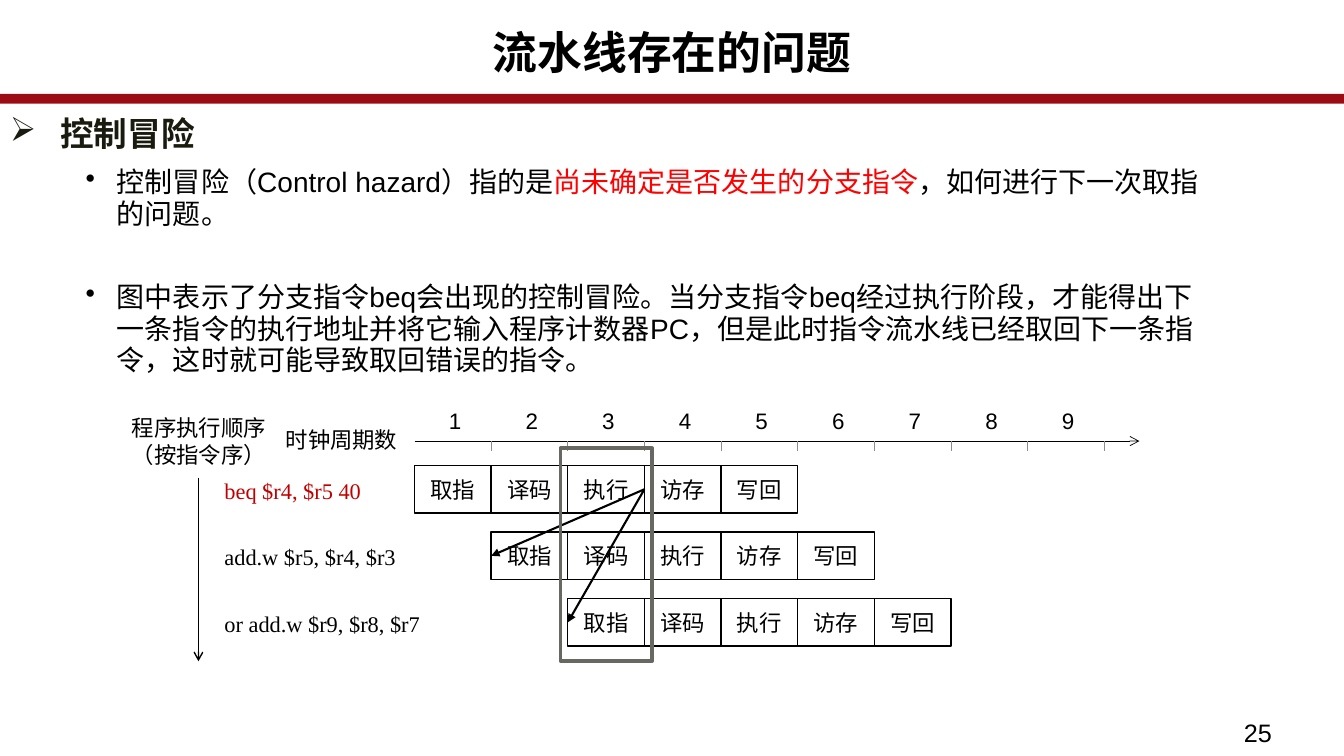
import lxml.etree
import pptx
import pptx.dml.color
import pptx.enum.shapes
import pptx.enum.text
import pptx.oxml.ns
import pptx.util

SHAPE = pptx.enum.shapes.MSO_SHAPE
ALIGN = pptx.enum.text.PP_ALIGN
ANCHOR = pptx.enum.text.MSO_ANCHOR

BLACK, RED, CRIMSON, BAR_RED = "000000", "FF0000", "C00000", "9C0C15"
HEADING, TICK_GREY, FRAME_GREY = "191B0E", "8C8D86", "686863"

STAGES = ["取指", "译码", "执行", "访存", "写回"]
INSTRUCTIONS = [
    ("beq $r4, $r5 40", CRIMSON),
    ("add.w $r5, $r4, $r3", BLACK),
    ("or add.w $r9, $r8, $r7", BLACK),
]
CYCLES = 9
STEP = 2
STAGE_HEIGHT = 1.42
CHART_LEFT, CHART_TOP, AXIS_TOP = 10.82, 14, 13.26


def color(value):
    """Turn a hex string into a colour."""
    return pptx.dml.color.RGBColor.from_string(value)


class SlideBuilder:
    """Draws on one slide, with lengths in grid columns and rows."""

    column = 0.38
    row = 0.33
    font = "Arial"

    def __init__(self, page):
        self.page = page

    def place(self, left, top, width, height):
        """Convert columns and rows to slide lengths."""
        sizes = (left * self.column, top * self.row,
                 width * self.column, height * self.row)
        return [pptx.util.Inches(size) for size in sizes]

    def format(self, span, size, ink, bold=False, font=None):
        """Apply the text style to a run."""
        span.font.size = pptx.util.Pt(size)
        span.font.name = font or self.font
        span.font.bold = bold
        span.font.color.rgb = color(ink)

    def text(self, area, words, size=16, ink=BLACK, bold=False, font=None,
             align=ALIGN.LEFT, anchor=ANCHOR.TOP, wrap=True, spacing=None):
        """Add a text box with one paragraph."""
        box = self.page.shapes.add_textbox(*self.place(*area))
        frame = box.text_frame
        frame.word_wrap = wrap
        frame.vertical_anchor = anchor
        frame.text = words
        para = frame.paragraphs[0]
        para.alignment = align
        para.line_spacing = spacing
        self.format(para.runs[0], size, ink, bold, font)

    def label(self, area, words):
        """Add a centred diagram label."""
        self.text(area, words, align=ALIGN.CENTER, anchor=ANCHOR.MIDDLE)

    def bullets(self, area, items, mark, margin, hang, size, gap=0, bold=False):
        """Add a bulleted list whose items are lists of coloured spans."""
        frame = self.page.shapes.add_textbox(*self.place(*area)).text_frame
        frame.word_wrap = True
        for index, item in enumerate(items):
            para = frame.paragraphs[0] if index == 0 else frame.add_paragraph()
            properties = para._p.get_or_add_pPr()
            properties.set("marL", str(pptx.util.Inches(margin)))
            properties.set("indent", str(pptx.util.Inches(-hang)))
            bullet = lxml.etree.SubElement(properties, pptx.oxml.ns.qn("a:buChar"))
            bullet.set("char", mark)
            para.line_spacing = 0.94
            para.space_before = pptx.util.Pt(gap if index else 0)
            para.space_after = pptx.util.Pt(2)
            for words, ink in item:
                span = para.add_run()
                span.text = words
                self.format(span, size, ink, bold)

    def shape(self, area, kind=SHAPE.RECTANGLE, fill=None, line=BLACK,
              weight=1, words=""):
        """Add an outlined preset shape."""
        box = self.page.shapes.add_shape(kind, *self.place(*area))
        box.shadow.inherit = False
        if fill:
            box.fill.solid()
            box.fill.fore_color.rgb = color(fill)
        else:
            box.fill.background()
        box.line.color.rgb = color(line)
        box.line.width = pptx.util.Pt(weight)
        if words:
            frame = box.text_frame
            frame.text = words
            frame.vertical_anchor = ANCHOR.MIDDLE
            frame.paragraphs[0].alignment = ALIGN.CENTER
            self.format(frame.paragraphs[0].runs[0], 16, BLACK)

    def line(self, start, end, weight, ink=BLACK, arrow=None):
        """Add a straight line, with an optional arrowhead at its end."""
        connector = self.page.shapes.add_connector(
            pptx.enum.shapes.MSO_CONNECTOR.STRAIGHT, *self.place(*start, *end))
        connector.line.color.rgb = color(ink)
        connector.line.width = pptx.util.Pt(weight)
        if arrow:
            head = lxml.etree.SubElement(
                connector.line._get_or_add_ln(), pptx.oxml.ns.qn("a:tailEnd"))
            head.set("type", arrow)
        lxml.etree.SubElement(
            connector._element.spPr, pptx.oxml.ns.qn("a:effectLst"))


def draw_text(slide):
    """Draw the title, the explanation and the page number."""
    slide.shape((0, 2.88, 35.08, 0.18), SHAPE.ROUNDED_RECTANGLE,
                fill=BAR_RED, line=BAR_RED, weight=2.75)
    slide.text((0, 0.79, 35.08, 2.27), "流水线存在的问题", 32, bold=True,
               align=ALIGN.CENTER, spacing=0.89)
    slide.bullets((0, 3.33, 33.82, 1.6), [[("控制冒险", HEADING)]],
                  "➢", 0.5, 0.5, 24, bold=True)
    definition = [
        ("控制冒险（Control hazard）指的是", BLACK),
        ("尚未确定是否发生的分支指令", RED),
        ("，如何进行下一次取指的问题。", BLACK),
    ]
    example = [(
        "图中表示了分支指令beq会出现的控制冒险。当分支指令beq经过执行阶段，"
        "才能得出下一条指令的执行地址并将它输入程序计数器PC，"
        "但是此时指令流水线已经取回下一条指令，这时就可能导致取回错误的指令。", BLACK)]
    slide.bullets((0.45, 4.88, 31.18, 7.91), [definition, example],
                  "•", 0.89, 0.31, 20, gap=35)
    slide.text((32.21, 21.42, 2.87, 1.33), "25", 18)


def draw_pipeline(slide):
    """Draw the pipeline timing diagram."""
    slide.label((5.89, 12.52, 6.05, STAGE_HEIGHT), "时钟周期数")
    slide.label((3.13, 12.55, 4.13, STAGE_HEIGHT), "程序执行顺序（按指令序）")
    slide.line((CHART_LEFT, AXIS_TOP), (29.74, AXIS_TOP), 0.5, arrow="arrow")
    for cycle in range(CYCLES):
        left = CHART_LEFT + STEP * cycle
        slide.label((left - 0.11, 11.94, 2.34, STAGE_HEIGHT), str(cycle + 1))
        tick = left + STEP
        slide.line((tick, AXIS_TOP), (tick, AXIS_TOP + 0.31), 0.5, TICK_GREY)
    for order, (words, ink) in enumerate(INSTRUCTIONS):
        top = CHART_TOP + STEP * order
        slide.text((5.6, top + 0.18, 5.7, 1.12), words, ink=ink,
                   font="Times New Roman", wrap=False)
        for index, stage in enumerate(STAGES):
            left = CHART_LEFT + STEP * (order + index)
            slide.shape((left, top, STEP, STAGE_HEIGHT), words=stage)
    middle = CHART_TOP + STAGE_HEIGHT / 2
    for order in (1, 2):
        slide.line((CHART_LEFT + 3 * STEP, middle),
                   (CHART_LEFT + order * STEP, middle + order * STEP),
                   1.5, arrow="triangle")
    slide.line((5.18, 14.36), (5.18, 19.88), 1, arrow="arrow")
    slide.shape((14.63, 13.48, 2.39, 6.39), line=FRAME_GREY, weight=2.75)


def main():
    """Build and save the deck."""
    deck = pptx.Presentation()
    deck.slide_width = pptx.util.Inches(13.33)
    deck.slide_height = pptx.util.Inches(7.5)
    slide = SlideBuilder(deck.slides.add_slide(deck.slide_layouts[6]))
    draw_text(slide)
    draw_pipeline(slide)
    deck.save("out.pptx")


if __name__ == "__main__":
    main()
